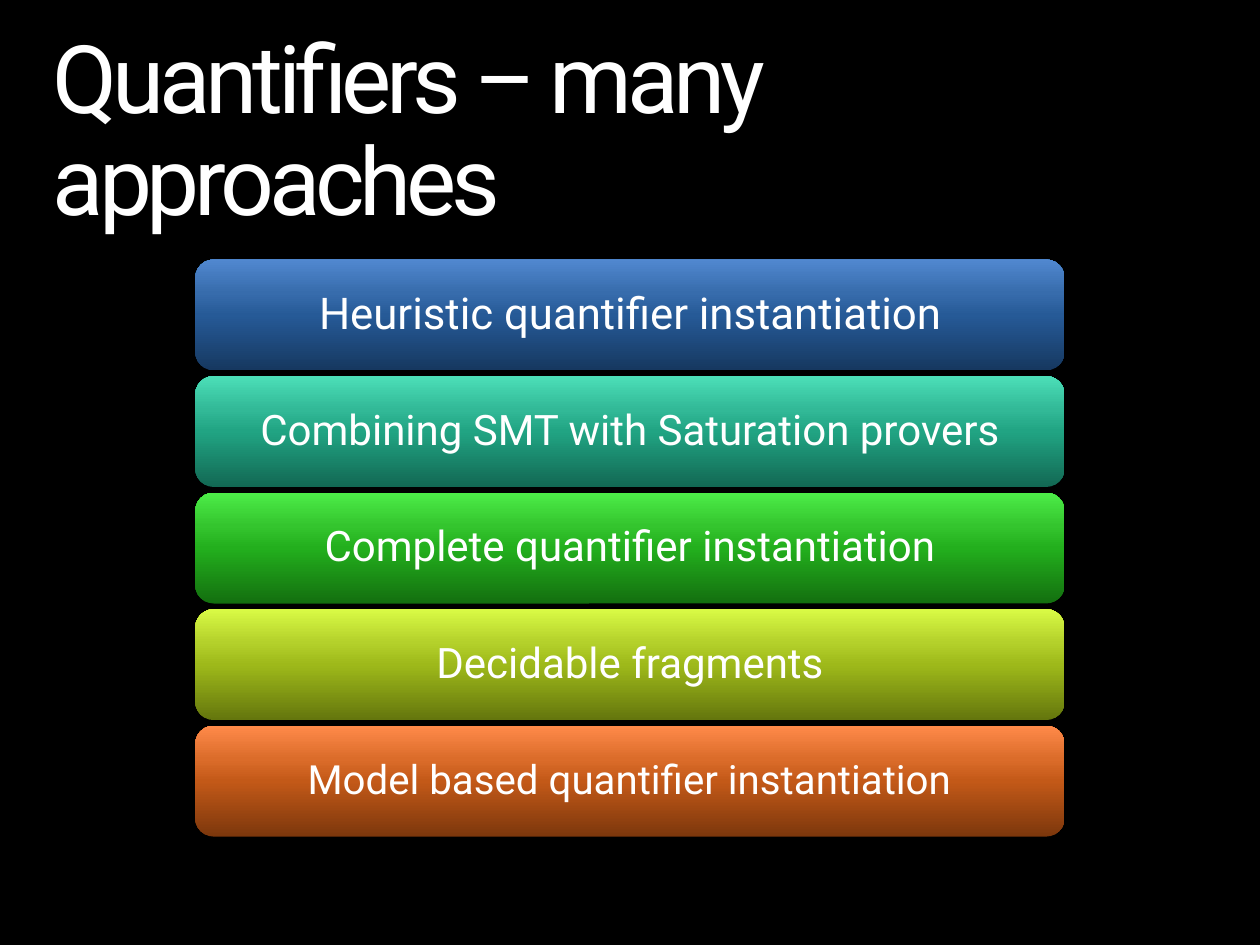
"""Build a slide listing approaches to quantifiers as a stack of gradient bars."""
from lxml import etree
from pptx import Presentation
from pptx.dml.color import RGBColor
from pptx.enum import shapes, text
from pptx.oxml import ns
from pptx.util import Inches, Pt

FONT = "Roboto"
COLORS = {"background": "000000", "text": "FFFFFF"}
STOPS = (0, 50, 70, 100)
GRADIENTS = {
    "blue": ("163860", "265A97", "376CAC", "5188D0"),
    "teal": ("126853", "21A483", "32B997", "4CDFB8"),
    "green": ("136F0F", "23AF1D", "34C52E", "4DED48"),
    "lime": ("64760D", "9EB91A", "B4D12B", "D9FA45"),
    "orange": ("7C370C", "C35918", "DB6C2A", "FF8A4A"),
}
APPROACHES = (
    ("Heuristic quantifier instantiation", "blue", 25),
    ("Combining SMT with Saturation provers", "teal", 24),
    ("Complete quantifier instantiation", "green", 24),
    ("Decidable fragments", "lime", 24),
    ("Model based quantifier instantiation", "orange", 23),
)
BAR_LEFT, BAR_TOP, BAR_WIDTH, BAR_HEIGHT = 1.55, 2.06, 6.9, 0.88
BAR_PITCH = 0.925


def write_text(frame, words, *, size, align, anchor, spacing=0):
    """Fill a text frame with one formatted paragraph."""
    frame.word_wrap = True
    frame.auto_size = text.MSO_AUTO_SIZE.NONE
    frame.vertical_anchor = anchor
    para = frame.paragraphs[0]
    para.alignment = align
    para.line_spacing = 0.9
    span = para.add_run()
    span.text = words
    span.font.name = FONT
    span.font.size = Pt(size)
    span.font.bold = False
    span.font.color.rgb = RGBColor.from_string(COLORS["text"])
    if spacing:
        span.font._element.set("spc", str(spacing * 100))


def fill_gradient(shape, colors):
    """Fill a shape with a linear gradient running from bottom to top."""
    shape.fill.gradient()
    shape.fill.gradient_angle = 90
    stop_list = shape._element.spPr.find(ns.qn("a:gradFill")).find(ns.qn("a:gsLst"))
    for stop in list(stop_list):
        stop_list.remove(stop)
    for position, color in zip(STOPS, colors):
        stop = etree.SubElement(stop_list, ns.qn("a:gs"), pos=str(position * 1000))
        etree.SubElement(stop, ns.qn("a:srgbClr"), val=color)


def add_title(page, words):
    """Place and format the title placeholder."""
    title = page.shapes.title
    title.left, title.top = Inches(0.42), Inches(0.25)
    title.width, title.height = Inches(9.17), Inches(0.82)
    frame = title.text_frame
    frame.margin_left = frame.margin_right = frame.margin_top = frame.margin_bottom = 0
    write_text(frame, words, size=54, align=text.PP_ALIGN.LEFT,
               anchor=text.MSO_ANCHOR.TOP, spacing=-3)


def add_bar(page, row, words, gradient, size):
    """Add one rounded bar with its label at the given row of the stack."""
    bar = page.shapes.add_shape(
        shapes.MSO_SHAPE.ROUNDED_RECTANGLE, Inches(BAR_LEFT),
        Inches(BAR_TOP + row * BAR_PITCH), Inches(BAR_WIDTH), Inches(BAR_HEIGHT))
    bar.shadow.inherit = False
    bar.line.fill.background()
    fill_gradient(bar, GRADIENTS[gradient])
    write_text(bar.text_frame, words, size=size, align=text.PP_ALIGN.CENTER,
               anchor=text.MSO_ANCHOR.MIDDLE)


def main():
    """Build and save the deck."""
    deck = Presentation()
    deck.slide_width, deck.slide_height = Inches(10), Inches(7.5)
    page = deck.slides.add_slide(deck.slide_layouts[5])
    page.background.fill.solid()
    page.background.fill.fore_color.rgb = RGBColor.from_string(COLORS["background"])
    add_title(page, "Quantifiers – many approaches")
    for row, (words, gradient, size) in enumerate(APPROACHES):
        add_bar(page, row, words, gradient, size)
    deck.save("out.pptx")


if __name__ == "__main__":
    main()
